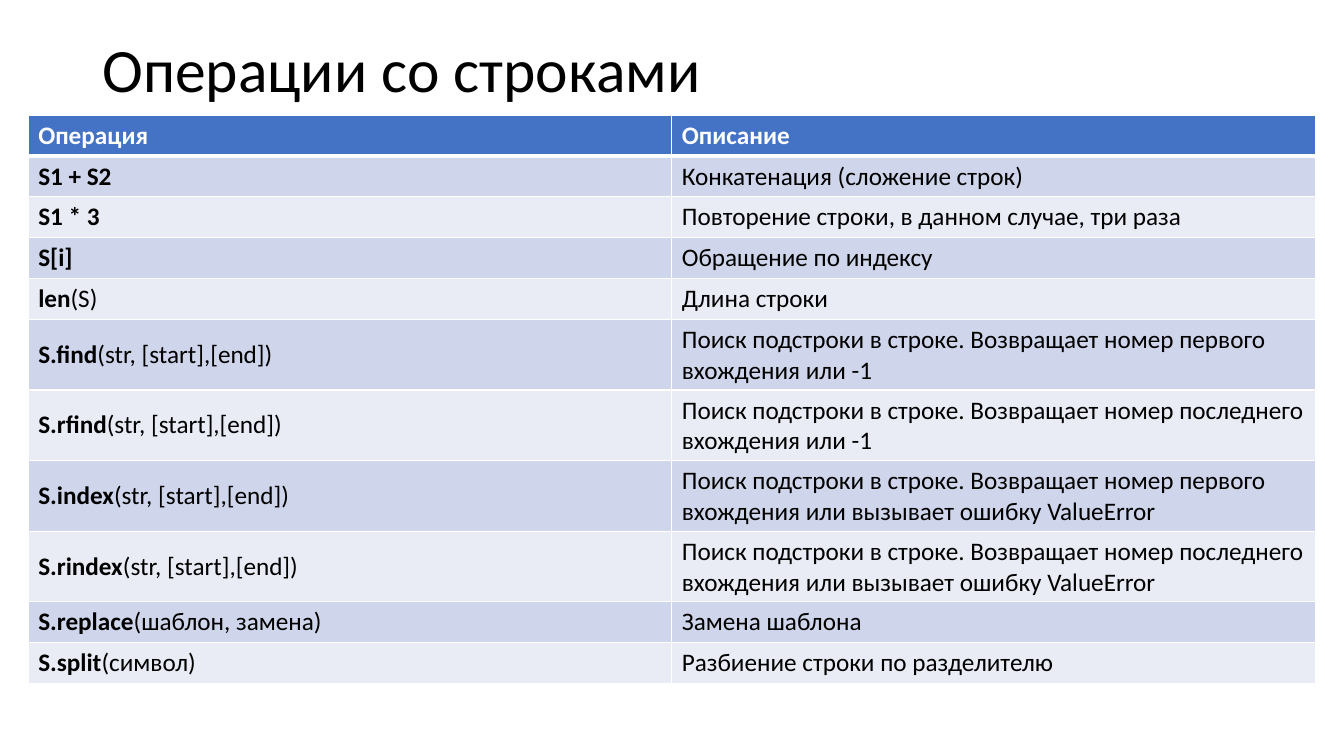
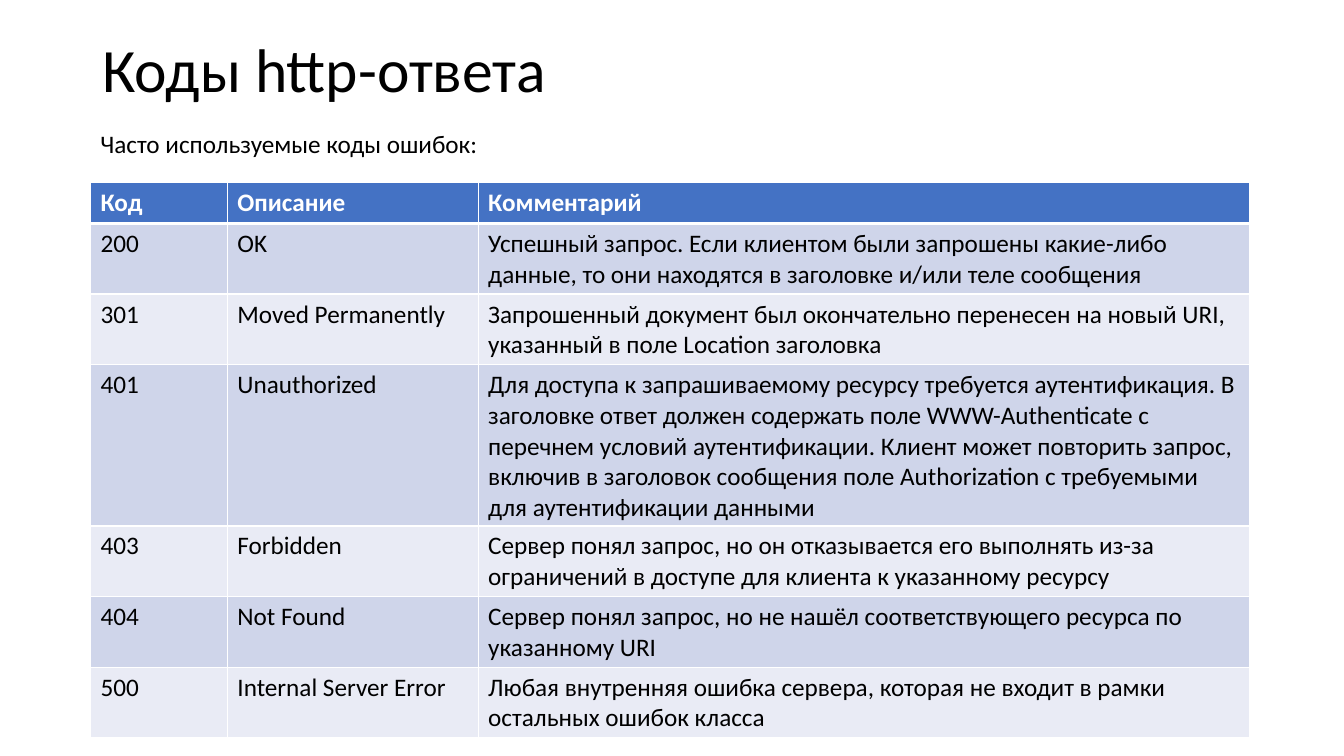
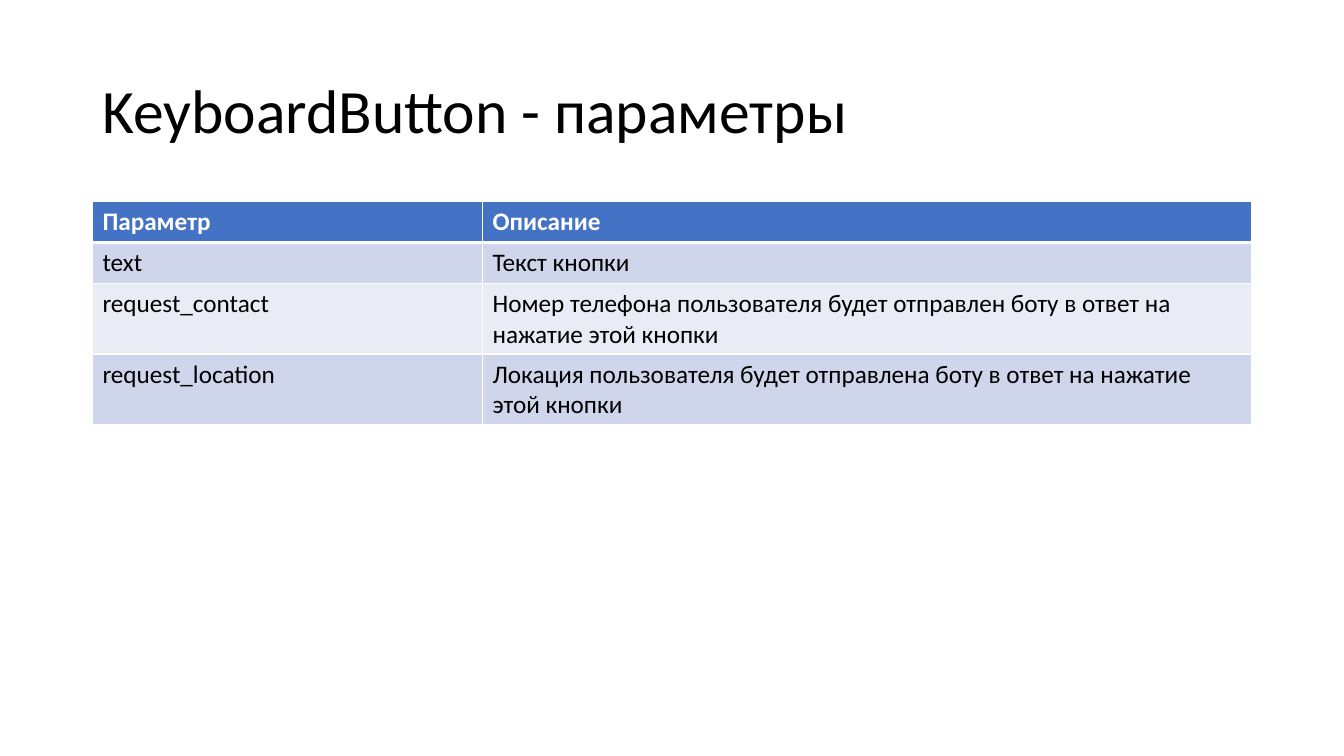
"""Build three slides of reference tables with a shared title and table style."""
from dataclasses import dataclass

from lxml.etree import SubElement
from pptx import Presentation
from pptx.dml.color import RGBColor
from pptx.enum.text import MSO_ANCHOR as Anchor, MSO_AUTO_SIZE as AutoSize
from pptx.oxml.ns import qn
from pptx.util import Cm, Pt

FONT = "Calibri"
BLACK, WHITE = "000000", "FFFFFF"
HEADER_FILL = "4472C4"
BAND_FILLS = ("E9EBF5", "CFD5EA")
TITLE_SIZE, BODY_SIZE = 44, 18
ROW_HEIGHT = 1.03
THIN, THICK = 1, 3


@dataclass(frozen=True)
class TableSlide:
    title: str
    title_top: float
    left: float
    top: float
    widths: tuple[float, ...]
    rows: tuple[tuple[str, ...], ...]
    caption: str = ""
    operations: bool = False


SLIDES = (
    TableSlide(
        title="Операции со строками",
        title_top=0,
        left=0.71,
        top=2.9,
        widths=(16.22, 16.22),
        operations=True,
        rows=(
            ("Операция", "Описание"),
            ("S1 + S2", "Конкатенация (сложение строк)"),
            ("S1 * 3", "Повторение строки, в данном случае, три раза"),
            ("S[i]", "Обращение по индексу"),
            ("len(S)", "Длина строки"),
            ("S.find(str, [start],[end])",
             "Поиск подстроки в строке. Возвращает номер первого вхождения или -1"),
            ("S.rfind(str, [start],[end])",
             "Поиск подстроки в строке. Возвращает номер последнего вхождения или -1"),
            ("S.index(str, [start],[end])",
             "Поиск подстроки в строке. Возвращает номер первого вхождения "
             "или вызывает ошибку ValueError"),
            ("S.rindex(str, [start],[end])",
             "Поиск подстроки в строке. Возвращает номер последнего вхождения "
             "или вызывает ошибку ValueError"),
            ("S.replace(шаблон, замена)", "Замена шаблона"),
            ("S.split(символ)", "Разбиение строки по разделителю"),
        ),
    ),
    TableSlide(
        title="Коды http-ответа",
        title_top=0,
        left=2.28,
        top=4.6,
        widths=(3.45, 6.32, 19.43),
        caption="Часто используемые коды ошибок:",
        rows=(
            ("Код", "Описание", "Комментарий"),
            ("200", "OK",
             "Успешный запрос. Если клиентом были запрошены какие-либо данные, "
             "то они находятся в заголовке и/или теле сообщения"),
            ("301", "Moved Permanently",
             "Запрошенный документ был окончательно перенесен на новый URI, "
             "указанный в поле Location заголовка"),
            ("401", "Unauthorized",
             "Для доступа к запрашиваемому ресурсу требуется аутентификация. "
             "В заголовке ответ должен содержать поле WWW-Authenticate с перечнем "
             "условий аутентификации. Клиент может повторить запрос, включив в "
             "заголовок сообщения поле Authorization с требуемыми для "
             "аутентификации данными"),
            ("403", "Forbidden",
             "Сервер понял запрос, но он отказывается его выполнять из-за "
             "ограничений в доступе для клиента к указанному ресурсу"),
            ("404", "Not Found",
             "Сервер понял запрос, но не нашёл соответствующего ресурса "
             "по указанному URI"),
            ("500", "Internal Server Error",
             "Любая внутренняя ошибка сервера, которая не входит в рамки "
             "остальных ошибок класса"),
        ),
    ),
    TableSlide(
        title="KeyboardButton - параметры",
        title_top=1.01,
        left=2.33,
        top=5.08,
        widths=(9.83, 19.38),
        rows=(
            ("Параметр", "Описание"),
            ("text", "Текст кнопки"),
            ("request_contact",
             "Номер телефона пользователя будет отправлен боту в ответ на "
             "нажатие этой кнопки"),
            ("request_location",
             "Локация пользователя будет отправлена боту в ответ на нажатие "
             "этой кнопки"),
        ),
    ),
)


def color(value: str) -> RGBColor:
    """Turn a hex string into a colour."""
    return RGBColor.from_string(value)


def style_span(span, size: int, ink: str, bold: bool = False) -> None:
    """Format one run."""
    span.font.name = FONT
    span.font.size = Pt(size)
    span.font.bold = bold
    span.font.color.rgb = color(ink)


def add_title(page, text: str, top: float) -> None:
    """Add the large slide title."""
    box = page.shapes.add_textbox(Cm(2.33), Cm(top), Cm(29.21), Cm(3.68))
    frame = box.text_frame
    frame.word_wrap = True
    frame.vertical_anchor = Anchor.MIDDLE
    frame.text = text
    para = frame.paragraphs[0]
    para.line_spacing = 0.9
    style_span(para.runs[0], TITLE_SIZE, BLACK)


def add_caption(page, text: str, left: float) -> None:
    """Add the line of text above a table."""
    box = page.shapes.add_textbox(Cm(left), Cm(3.1), Cm(10.13), Cm(1.03))
    frame = box.text_frame
    frame.word_wrap = False
    frame.auto_size = AutoSize.SHAPE_TO_FIT_TEXT
    frame.text = text
    style_span(frame.paragraphs[0].runs[0], BODY_SIZE, BLACK)


def set_borders(cell, top: int, bottom: int) -> None:
    """Draw white lines on the four sides of a cell."""
    properties = cell._tc.get_or_add_tcPr()
    sides = {"a:lnL": THIN, "a:lnR": THIN, "a:lnT": top, "a:lnB": bottom}
    for tag, width in sides.items():
        line = SubElement(properties, qn(tag), w=str(Pt(width)))
        fill = SubElement(line, qn("a:solidFill"))
        SubElement(fill, qn("a:srgbClr"), val=WHITE)


def fill_cell(cell, text: str, row: int, is_operation: bool) -> None:
    """Write and style one table cell."""
    is_header = row == 0
    set_borders(cell, THICK if row == 1 else THIN, THICK if is_header else THIN)
    cell.fill.solid()
    cell.fill.fore_color.rgb = color(HEADER_FILL if is_header else BAND_FILLS[row % 2])
    para = cell.text_frame.paragraphs[0]
    name, bracket, arguments = text.partition("(") if is_operation else (text, "", "")
    para.text = name
    if bracket:
        para.add_run().text = bracket + arguments
    for index, span in enumerate(para.runs):
        bold = is_header or (is_operation and index == 0)
        style_span(span, BODY_SIZE, WHITE if is_header else BLACK, bold)


def add_grid(page, content: TableSlide) -> None:
    """Add the table of a slide."""
    rows, widths = content.rows, content.widths
    table = page.shapes.add_table(
        len(rows), len(widths), Cm(content.left), Cm(content.top),
        Cm(sum(widths)), Cm(ROW_HEIGHT * len(rows)),
    ).table
    for column, width in zip(table.columns, widths):
        column.width = Cm(width)
    for row, texts in enumerate(rows):
        table.rows[row].height = Cm(ROW_HEIGHT)
        for column, text in enumerate(texts):
            cell = table.cell(row, column)
            in_body = content.operations and row > 0
            fill_cell(cell, text, row, in_body and column == 0)
            if in_body:
                cell.vertical_anchor = Anchor.MIDDLE


def main() -> None:
    """Build and save the deck."""
    deck = Presentation()
    deck.slide_width, deck.slide_height = Cm(33.87), Cm(19.05)
    for content in SLIDES:
        page = deck.slides.add_slide(deck.slide_layouts[6])
        add_title(page, content.title, content.title_top)
        add_grid(page, content)
        if content.caption:
            add_caption(page, content.caption, content.left)
    deck.save("out.pptx")


if __name__ == "__main__":
    main()
